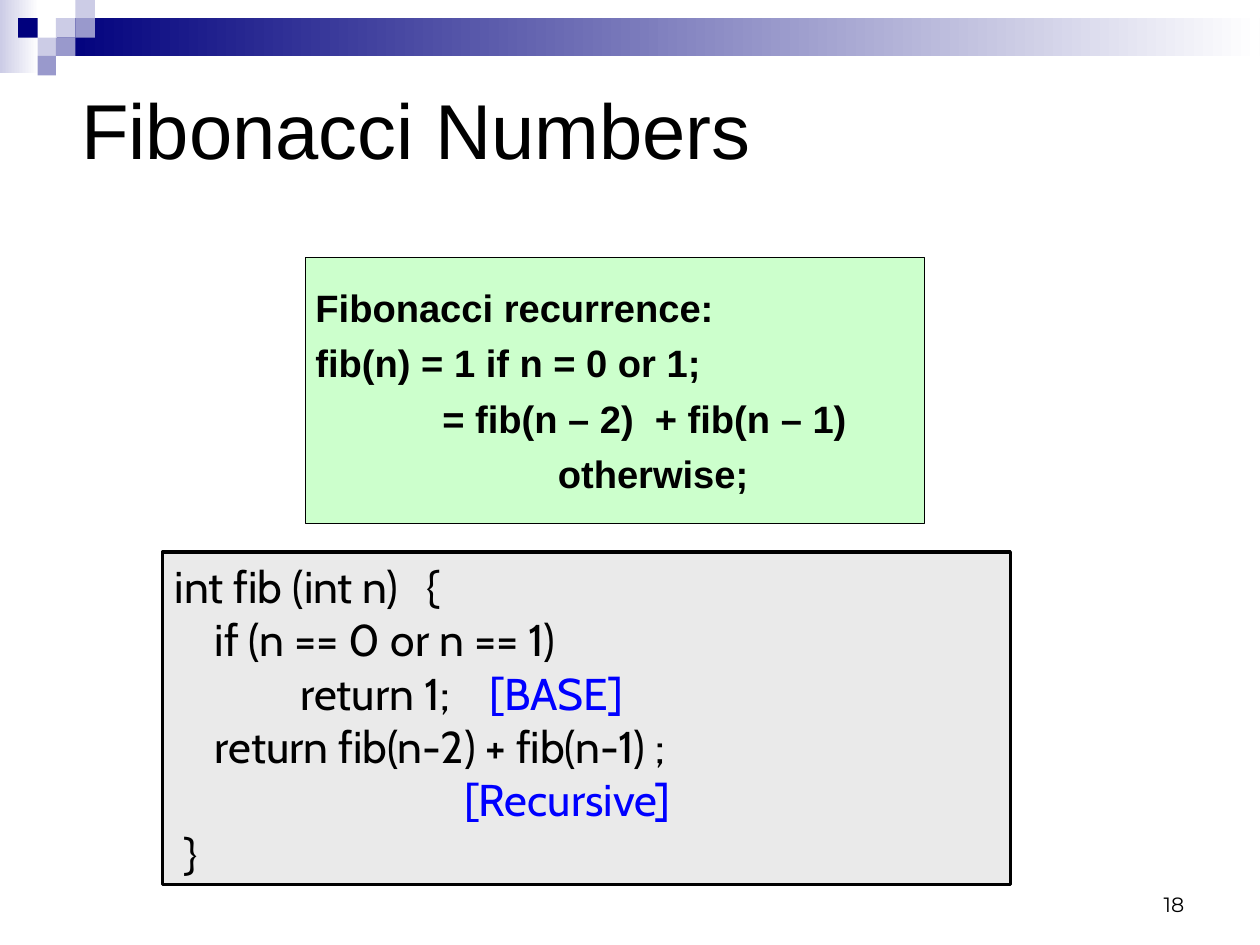
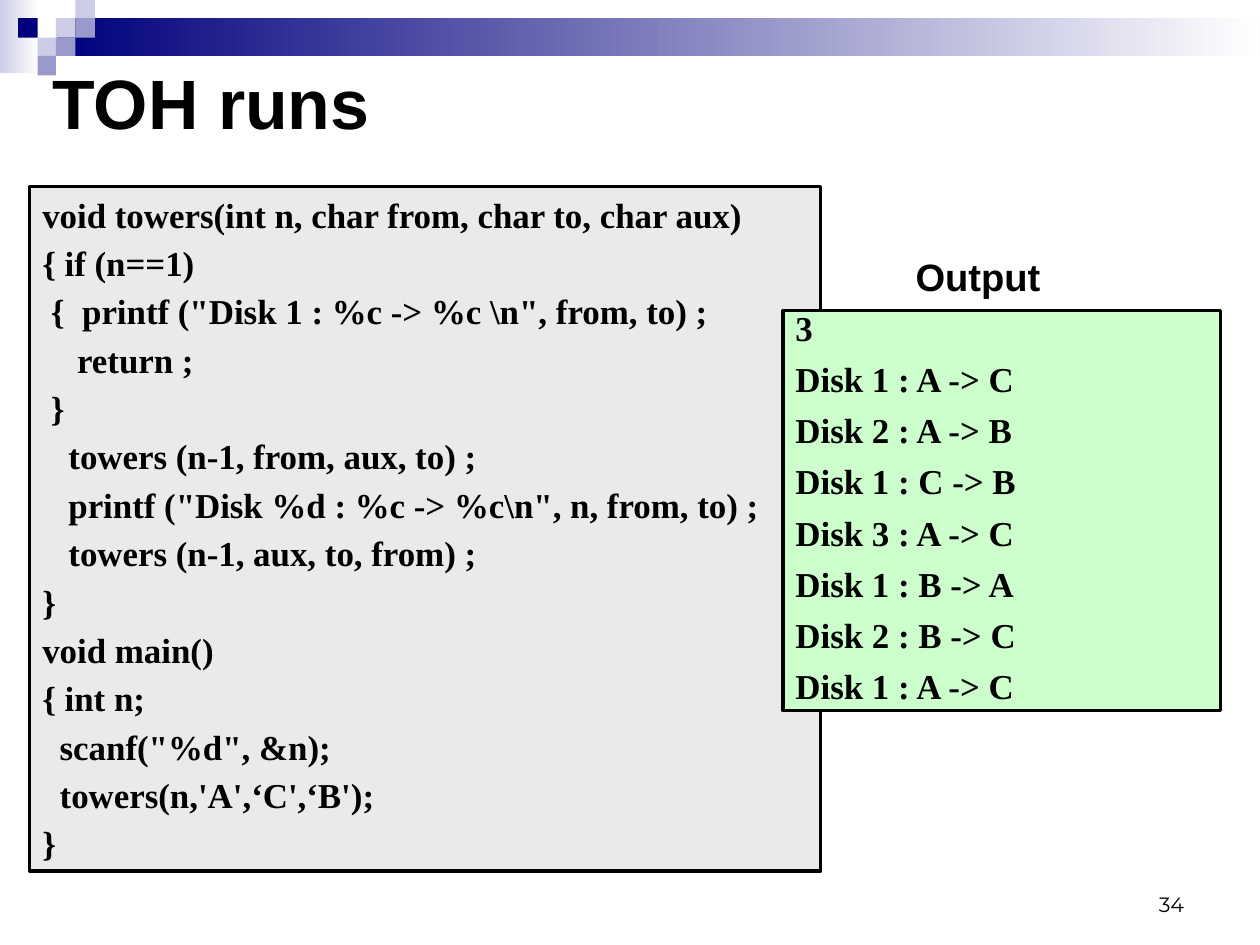
from lxml.etree import SubElement
from pptx import Presentation
from pptx.dml.color import RGBColor
from pptx.enum.shapes import MSO_SHAPE
from pptx.enum.text import MSO_ANCHOR, MSO_AUTO_SIZE, PP_ALIGN
from pptx.oxml.ns import qn
from pptx.util import Cm, Inches, Pt

BLACK = RGBColor(0x00, 0x00, 0x00)
WHITE = RGBColor(0xFF, 0xFF, 0xFF)
BLUE = RGBColor(0x00, 0x00, 0xFF)
NAVY = RGBColor(0x00, 0x00, 0x7D)
LILAC = RGBColor(0xCC, 0xCC, 0xE6)
VIOLET = RGBColor(0x99, 0x99, 0xCC)
MINT = RGBColor(0xCC, 0xFF, 0xCC)
GREY = RGBColor(0xEA, 0xEA, 0xEA)

SLIDE_WIDTH, SLIDE_HEIGHT = Cm(28), Cm(21)
GRID = (0, 0.16, 0.33, 0.49, 0.66, 0.83)
SQUARES = [  # column, row, colour
    (3, 1, LILAC), (4, 0, LILAC), (4, 1, VIOLET), (2, 2, LILAC),
    (1, 1, NAVY), (3, 2, VIOLET), (2, 3, VIOLET),
]
PADDING = (0.11, 0.06, 0.11, 0.06)

TITLE = {"name": "Arial", "size": Pt(49), "bold": False}
BOLD_TITLE = {"name": "Arial", "size": Pt(44), "bold": True}
LABEL = {"name": "Arial", "size": Pt(24), "bold": True}
FIB_CODE = {"name": "Cabin", "size": Pt(28)}
TOWERS_CODE = {"name": "Times New Roman", "size": Pt(22), "bold": True}
PAGE_NUMBER = {"name": "Montserrat", "size": Pt(13)}

RECURRENCE = [
    "Fibonacci recurrence:",
    "fib(n) = 1 if n = 0 or 1;",
    "= fib(n – 2)  + fib(n – 1)",
    "otherwise;",
]
RECURRENCE_INDENTS = (0, 0, 1.11, 2.12)

FIB_LINES = [
    "int fib (int n)\t{",
    "    if (n == 0 or n == 1)",
    [("\treturn 1;    ", BLACK), ("[BASE]", BLUE)],
    "    return fib(n-2) + fib(n-1) ;",
    [("                             ", BLACK), ("[Recursive]", BLUE)],
    " }",
]

TOWERS_LINES = r"""void towers(int n, char from, char to, char aux)
{ if (n==1)
 {  printf ("Disk 1 : %c -> %c \n", from, to) ;
    return ;
 }
   towers (n-1, from, aux, to) ;
   printf ("Disk %d : %c -> %c\n", n, from, to) ;
   towers (n-1, aux, to, from) ;
}
void main()
{ int n;
  scanf("%d", &n);
  towers(n,'A',‘C',‘B');
}""".splitlines()

MOVES = ["1 : A -> C", "2 : A -> B", "1 : C -> B", "3 : A -> C",
         "1 : B -> A", "2 : B -> C", "1 : A -> C"]
OUTPUT_LINES = ["3"] + [f"Disk {move}" for move in MOVES]


def set_attributes(target, values):
    for name, value in values.items():
        setattr(target, name, value)


def set_frame(frame, padding=PADDING, anchor=MSO_ANCHOR.TOP):
    left, top, right, bottom = map(Inches, padding)
    set_attributes(frame, {
        "margin_left": left, "margin_top": top,
        "margin_right": right, "margin_bottom": bottom,
        "vertical_anchor": anchor, "word_wrap": True,
        "auto_size": MSO_AUTO_SIZE.NONE,
    })


def add_tab_stops(para, stops):
    tab_list = SubElement(para._p.get_or_add_pPr(), qn("a:tabLst"))
    for stop in stops:
        SubElement(tab_list, qn("a:tab"), pos=str(Inches(stop)), algn="l")


def write_lines(frame, lines, font, align=PP_ALIGN.LEFT, gap=0, spacing=None,
                tab_stops=(), indents=()):
    """Write one paragraph per line; a line is text or a list of (text, colour)."""
    for index, line in enumerate(lines):
        para = frame.add_paragraph() if index else frame.paragraphs[0]
        if tab_stops:
            add_tab_stops(para, tab_stops)
        if indents:
            para._p.get_or_add_pPr().set("marL", str(Inches(indents[index])))
        set_attributes(para, {"alignment": align, "line_spacing": spacing,
                              "space_before": Pt(gap if index else 0)})
        for text, colour in [(line, BLACK)] if isinstance(line, str) else line:
            span = para.add_run()
            span.text = text
            set_attributes(span.font, font)
            span.font.color.rgb = colour


def add_rectangle(page, place):
    box = page.shapes.add_shape(MSO_SHAPE.RECTANGLE, *map(Inches, place))
    box.shadow.inherit = False
    box.line.fill.background()
    return box


def add_solid(page, place, colour):
    box = add_rectangle(page, place)
    box.fill.solid()
    box.fill.fore_color.rgb = colour
    return box


def add_square(page, column, row, colour):
    left, top = GRID[column], GRID[row]
    return add_solid(page, (left, top, GRID[column + 1] - left, GRID[row + 1] - top),
                     colour)


def add_fade(page, place, colour):
    box = add_rectangle(page, place)
    box.fill.gradient()
    box.fill.gradient_angle = 0
    for stop, stop_colour in zip(box.fill.gradient_stops, (colour, WHITE)):
        stop.color.rgb = stop_colour
    return box


def add_panel(page, place, colour, lines, font, line_width=2, padding=PADDING,
              anchor=MSO_ANCHOR.TOP, **layout):
    box = add_solid(page, place, colour)
    box.line.color.rgb = BLACK
    box.line.width = Pt(line_width)
    set_frame(box.text_frame, padding, anchor)
    write_lines(box.text_frame, lines, font, **layout)


def add_text(page, place, text, font, padding=PADDING, anchor=MSO_ANCHOR.TOP,
             align=PP_ALIGN.LEFT):
    box = page.shapes.add_textbox(*map(Inches, place))
    set_frame(box.text_frame, padding, anchor)
    write_lines(box.text_frame, [text], font, align)


def decorate_master(deck, page):
    """Draw the header band on a page, then move it to the slide master."""
    band = [add_fade(page, (0, 0, 0.34, 0.64), LILAC),
            add_fade(page, (0.5, 0.16, 10.52, 0.33), NAVY)]
    band += [add_square(page, *square) for square in SQUARES]
    tree = deck.slide_master.shapes.element
    for index, box in enumerate(band):
        box.element.xpath(".//p:cNvPr")[0].set("id", str(100 + index))
        tree.insert(2 + index, box.element)


def add_page(deck, title, place, font, number):
    page = deck.slides.add_slide(deck.slide_layouts[5])
    heading = page.shapes.title
    sides = ("left", "top", "width", "height")
    set_attributes(heading, dict(zip(sides, map(Inches, place))))
    set_frame(heading.text_frame, anchor=MSO_ANCHOR.MIDDLE)
    write_lines(heading.text_frame, [title], font)
    add_text(page, (7.9, 7.53, 2.57, 0.55), number, PAGE_NUMBER,
             anchor=MSO_ANCHOR.BOTTOM, align=PP_ALIGN.RIGHT)
    return page


def add_fibonacci_page(deck):
    page = add_page(deck, "Fibonacci Numbers", (0.6, 0.3, 9.92, 1.65), TITLE, "18")
    add_panel(page, (2.67, 2.25, 5.42, 2.33), MINT, RECURRENCE, LABEL,
              line_width=0.75, padding=(0.09, 0, 0, 0), anchor=MSO_ANCHOR.MIDDLE,
              gap=6, indents=RECURRENCE_INDENTS)
    add_panel(page, (1.42, 4.83, 7.42, 2.91), GREY, FIB_LINES, FIB_CODE,
              tab_stops=(1.1, 2.2))
    return page


def add_towers_page(deck):
    page = add_page(deck, "TOH runs", (0.35, 0.47, 10.41, 0.84), BOLD_TITLE, "34")
    add_panel(page, (0.26, 1.63, 6.92, 5.99), GREY, TOWERS_LINES, TOWERS_CODE,
              gap=4.1)
    add_panel(page, (6.85, 2.72, 3.83, 3.5), MINT, OUTPUT_LINES, TOWERS_CODE,
              gap=13.8, spacing=0.7)
    add_text(page, (8.01, 2.22, 1.42, 0.4), "Output", LABEL, padding=(0, 0, 0, 0))


def main():
    deck = Presentation()
    deck.slide_width, deck.slide_height = SLIDE_WIDTH, SLIDE_HEIGHT
    deck.element.sldSz.attrib.pop("type", None)
    first_page = add_fibonacci_page(deck)
    decorate_master(deck, first_page)
    add_towers_page(deck)
    deck.save("out.pptx")


if __name__ == "__main__":
    main()
